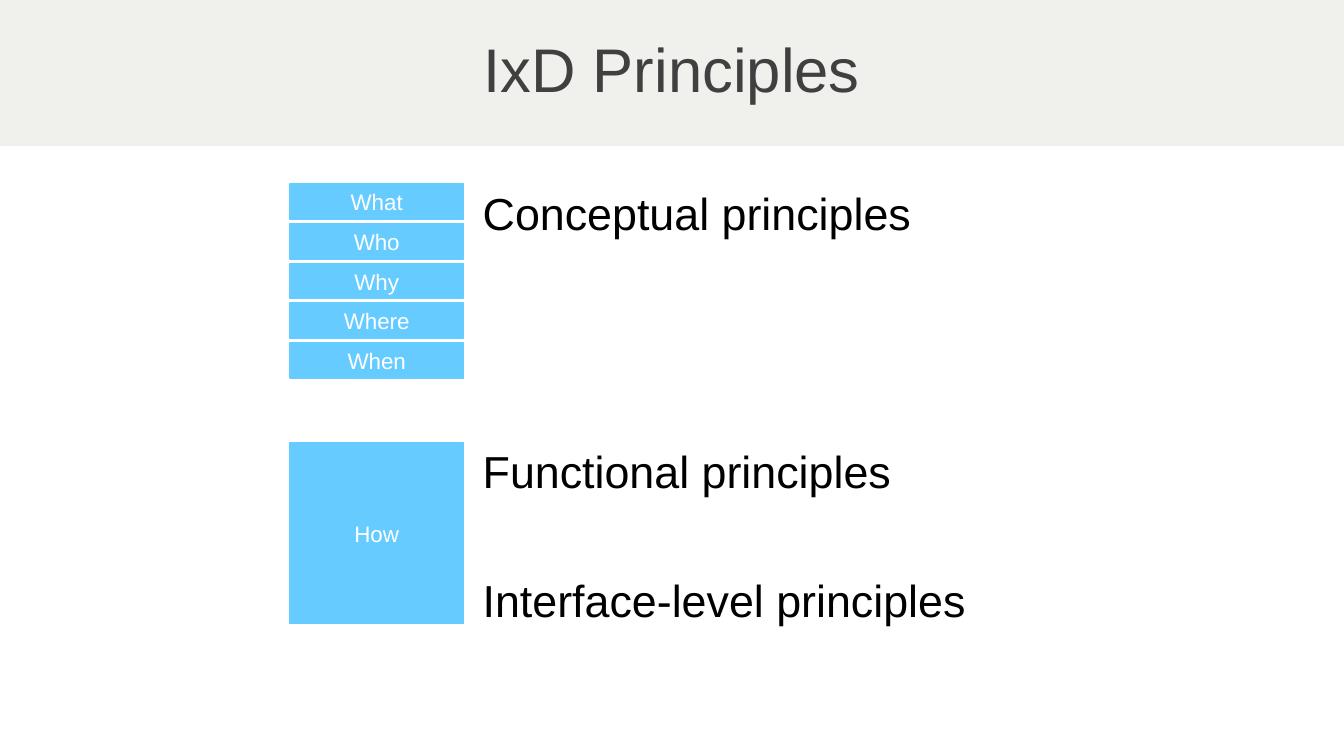
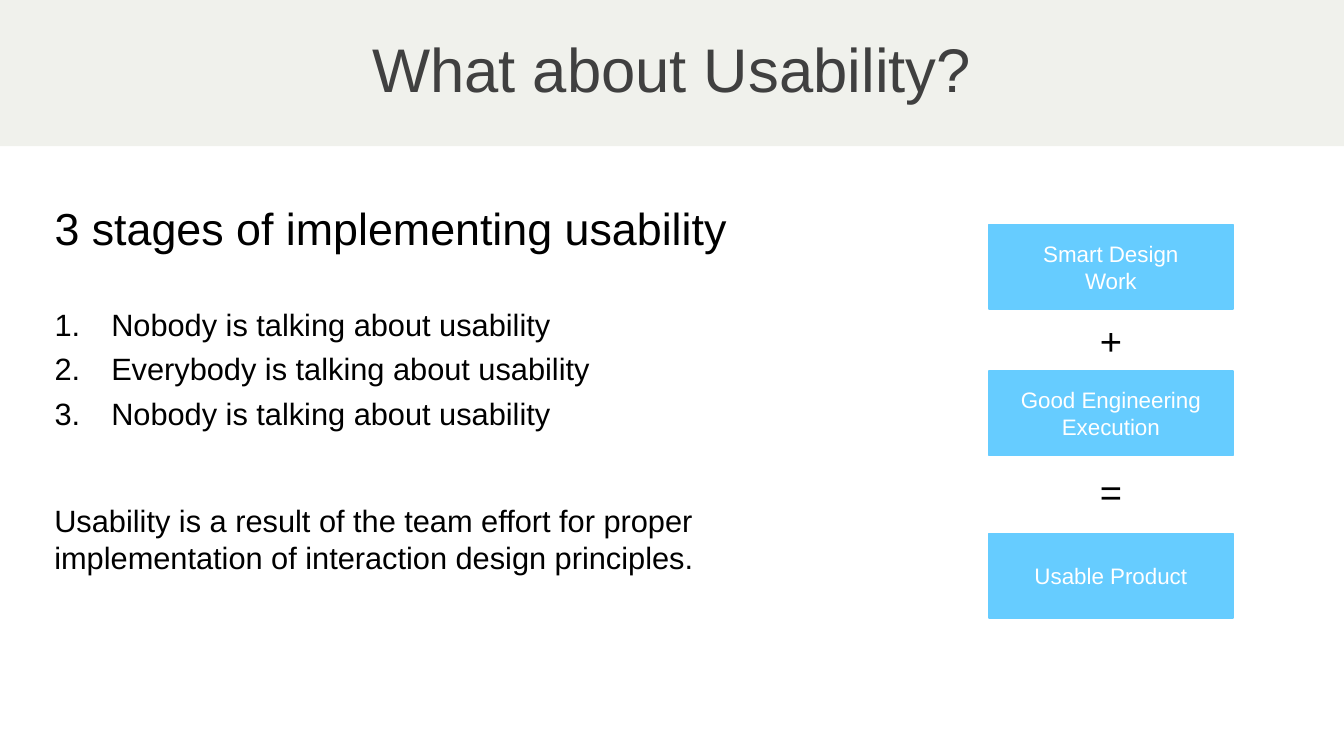
from pptx import Presentation
from pptx import util as u
from pptx.dml import color
from pptx.enum import shapes, text
from pptx.oxml import ns
from lxml import etree

COLOURS = {"band": "F0F1EC", "title": "404040", "block": "66CCFF", "light": "FFFFFF", "ink": "000000"}


class Deck:
    """Hold the shared style and the current slide."""

    font = "Arial"
    title_height = 3.68
    number_indent = u.Cm(1.43)

    def __init__(self):
        self.deck = Presentation()
        self.deck.slide_width, self.deck.slide_height = u.Cm(33.87), u.Cm(19.05)
        self.page = None

    def colour(self, name):
        return color.RGBColor.from_string(COLOURS[name])

    def place(self, box, left, top, width, height):
        box.left, box.top, box.width, box.height = map(u.Cm, (left, top, width, height))

    def set_text(self, box, lines, size, ink="ink", align=text.PP_ALIGN.LEFT, spacing=1.0):
        frame = box.text_frame
        frame.word_wrap = True
        frame.auto_size = text.MSO_AUTO_SIZE.NONE
        frame.text = "\n".join(lines)
        for para in frame.paragraphs:
            para.alignment = align
            para.line_spacing = spacing
            para.space_before = para.space_after = u.Pt(0)
            for span in para.runs:
                span.font.name = self.font
                span.font.size = u.Pt(size)
                span.font.color.rgb = self.colour(ink)
        return frame.paragraphs

    def bullet(self, para, numbered=False):
        properties = para._p.get_or_add_pPr()
        indent = self.number_indent if numbered else 0
        properties.set("marL", str(indent))
        properties.set("indent", str(-indent))
        mark = etree.SubElement(properties, ns.qn("a:buAutoNum" if numbered else "a:buNone"))
        if numbered:
            mark.set("type", "arabicPeriod")

    def add_page(self, title):
        self.page = self.deck.slides.add_slide(self.deck.slide_layouts[1])
        box = self.page.shapes.title
        self.place(box, 0, 0, 33.87, self.title_height)
        box.fill.solid()
        box.fill.fore_color.rgb = self.colour("band")
        box.text_frame.vertical_anchor = text.MSO_ANCHOR.MIDDLE
        self.set_text(box, [title], 44, "title", text.PP_ALIGN.CENTER, 0.9)

    def body(self, lines, place, gaps, numbered=()):
        box = self.page.placeholders[1]
        self.place(box, *place)
        paragraphs = self.set_text(box, lines, 32, spacing=1.2)
        for index, para in enumerate(paragraphs):
            self.bullet(para, index in numbered)
            para.space_before = u.Pt(gaps.get(index, 0))
        return paragraphs

    def note(self, line, place, size, align=text.PP_ALIGN.LEFT, side_margin=0.25):
        box = self.page.shapes.add_textbox(*map(u.Cm, place))
        box.text_frame.margin_left = box.text_frame.margin_right = u.Cm(side_margin)
        self.set_text(box, [line], size, align=align)

    def block(self, lines, place):
        box = self.page.shapes.add_shape(shapes.MSO_SHAPE.RECTANGLE, *map(u.Cm, place))
        box.shadow.inherit = False
        box.fill.solid()
        box.fill.fore_color.rgb = self.colour("block")
        box.line.color.rgb = self.colour("block")
        box.line.width = u.Pt(1)
        box.text_frame.vertical_anchor = text.MSO_ANCHOR.MIDDLE
        self.set_text(box, lines, 16, "light", text.PP_ALIGN.CENTER)


def add_principles(deck):
    deck.add_page("IxD Principles")
    deck.body(
        ["Conceptual principles", "Functional principles", "Interface-level principles"],
        (11.91, 4.29, 14.4, 12.73),
        {1: 138, 2: 46},
    )
    for row, question in enumerate(["What", "Who", "Why", "Where", "When"]):
        deck.block([question], (7.31, 4.64 + row, 4.37, 0.89))
    deck.block(["How"], (7.31, 11.15, 4.37, 4.57))


def add_usability(deck):
    deck.add_page("What about Usability?")
    stages = deck.body(
        [
            "3 stages of implementing usability",
            "Nobody is talking about usability",
            "Everybody is talking about usability",
            "Nobody is talking about usability",
        ],
        (1.12, 4.65, 18.52, 7.19),
        {1: 31.7},
        numbered=(1, 2, 3),
    )
    for para in stages[1:]:
        para.runs[0].font.size = u.Pt(22)
    deck.note(
        "Usability is a result of the team effort for proper implementation of interaction design principles.",
        (1.12, 12.52, 18.69, 2.72),
        22,
    )
    factors = [
        (["Smart Design", "Work"], 5.66),
        (["Good Engineering Execution"], 9.35),
        (["Usable Product"], 13.44),
    ]
    for lines, top in factors:
        deck.block(lines, (24.92, top, 6.15, 2.13))
    for sign, top in (("+", 7.87), ("=", 11.68)):
        deck.note(sign, (27.5, top, 1, 1.5), 27.2, text.PP_ALIGN.CENTER, side_margin=0)


def main():
    deck = Deck()
    add_principles(deck)
    add_usability(deck)
    deck.deck.save("out.pptx")


if __name__ == "__main__":
    main()
